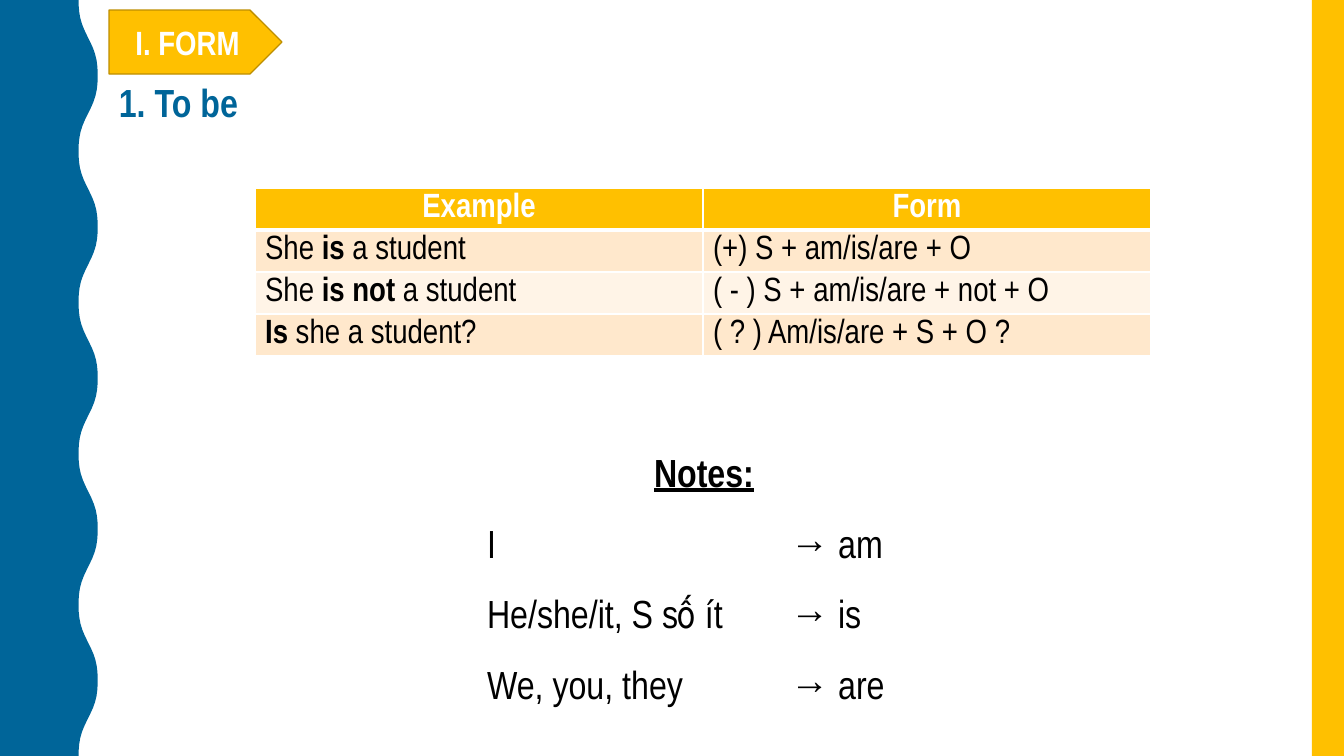
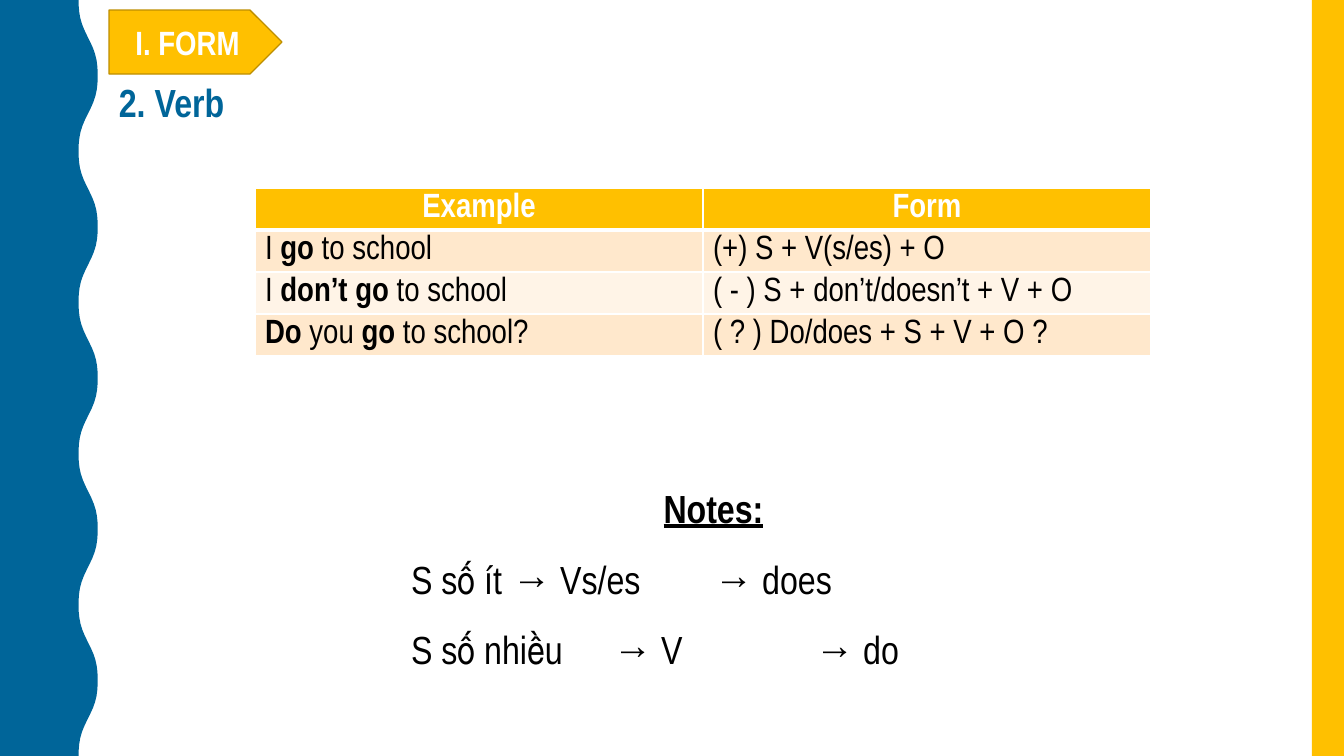
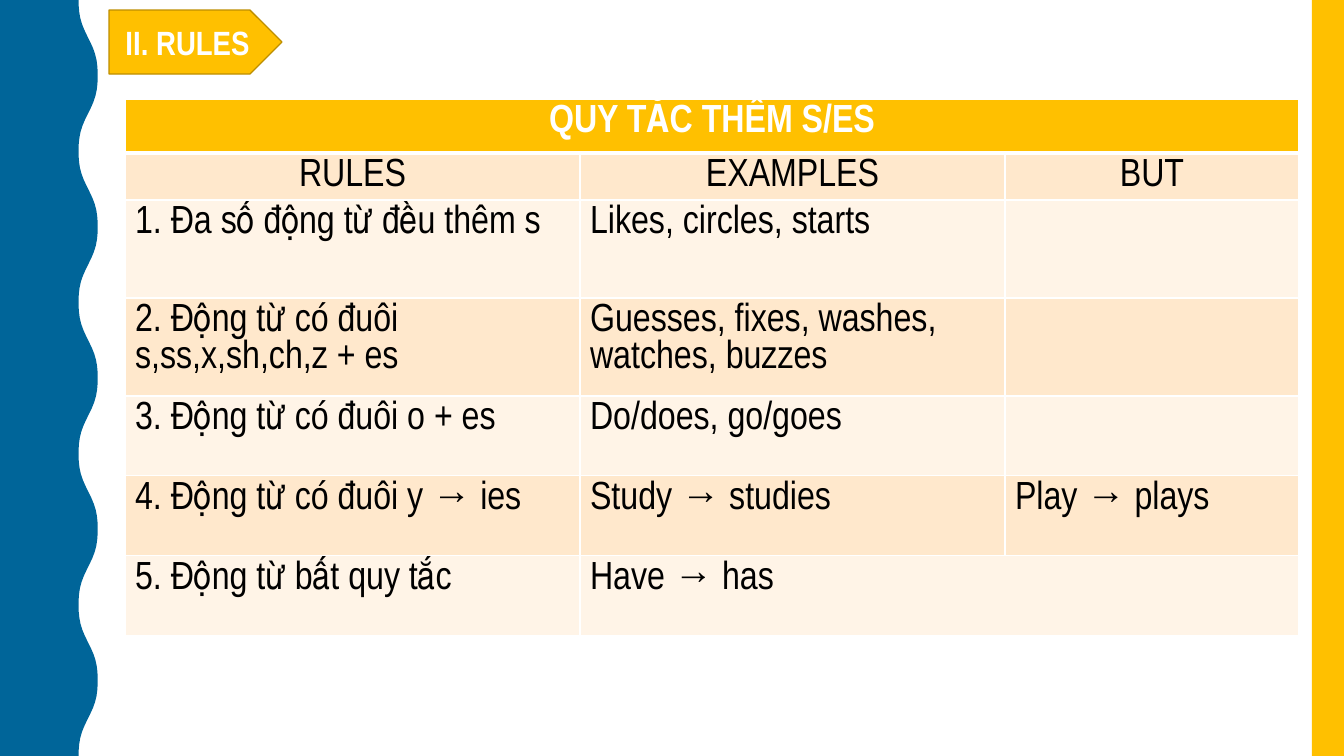
from math import cos, pi

from lxml.etree import SubElement
from pptx import Presentation
from pptx.dml.color import RGBColor
from pptx.enum.shapes import MSO_SHAPE as SHAPE
from pptx.enum.text import MSO_ANCHOR as ANCHOR, MSO_AUTO_SIZE as AUTOSIZE, PP_ALIGN as ALIGN
from pptx.oxml.ns import qn
from pptx.util import Pt

# Shared look
EMU_PER_PX = 914400 / 100.8
SLIDE_W, SLIDE_H = 1344, 756
FONT = "Arial Narrow"
BLUE = RGBColor(0x00, 0x65, 0x99)
GOLD = RGBColor(0xFF, 0xC0, 0x00)
DARK_GOLD = RGBColor(0xBD, 0x8E, 0x00)
PEACH = RGBColor(0xFF, 0xE8, 0xCC)
CREAM = RGBColor(0xFF, 0xF4, 0xE7)
WHITE = RGBColor(0xFF, 0xFF, 0xFF)
BLACK = RGBColor(0x00, 0x00, 0x00)
TITLE_ONLY, TITLE_AND_BODY = 5, 1
INCH_TAB = 101


def px(length):
    return round(length * EMU_PER_PX)


def box(left, top, width, height):
    return [px(length) for length in (left, top, width, height)]


def place(shape, *bounds):
    for side, length in zip(("left", "top", "width", "height"), box(*bounds)):
        setattr(shape, side, length)


def write(paragraph, text, size, color, bold=False, underline=False, **layout):
    """Write text whose parts between asterisks are bold."""
    for key, value in layout.items():
        setattr(paragraph, key, value)
    for index, part in enumerate(text.split("*")):
        if not part:
            continue
        run = paragraph.add_run()
        run.text = part
        style = {"name": FONT, "size": Pt(size), "underline": underline,
                 "bold": bold or index % 2 == 1}
        for key, value in style.items():
            setattr(run.font, key, value)
        run.font.color.rgb = color


def set_frame(frame, anchor):
    settings = {"word_wrap": True, "auto_size": AUTOSIZE.NONE, "vertical_anchor": anchor}
    for key, value in settings.items():
        setattr(frame, key, value)


# Bands and section tag on the master
def wave_x(y):
    """Edge of the wavy band: a cosine with a little third harmonic."""
    angle = 2 * pi * y / 151.2
    return 88.2 - 9.6 * (1.065 * cos(angle) - 0.065 * cos(3 * angle))


def add_decoration(master, slide):
    edge = [(px(wave_x(y)), px(y)) for y in range(0, SLIDE_H + 1, 6)]
    builder = slide.shapes.build_freeform(0, 0)
    builder.add_line_segments(edge + [(0, px(SLIDE_H))], close=True)
    wavy_band = builder.convert_to_shape()
    right_band = slide.shapes.add_shape(SHAPE.RECTANGLE, *box(1312, 0, 32, SLIDE_H))
    section_tag = slide.shapes.add_shape(SHAPE.PENTAGON, *box(109, 10, 173, 64))
    parts = [(wavy_band, BLUE), (right_band, GOLD), (section_tag, GOLD)]
    for position, (part, color) in enumerate(parts, 2):
        part.shadow.inherit = False
        part.fill.solid()
        part.fill.fore_color.rgb = color
        part.line.fill.background()
        master.shapes.element.insert(position, part.element)
    section_tag.line.color.rgb = DARK_GOLD
    section_tag.line.width = Pt(1)


# Headings
def set_section(slide, text):
    section = slide.shapes.title
    place(section, 109, 10, 157, 64)
    set_frame(section.text_frame, ANCHOR.MIDDLE)
    write(section.text_frame.paragraphs[0], text, 24, WHITE, bold=True, alignment=ALIGN.CENTER)


def add_subheading(slide, text):
    frame = slide.shapes.add_textbox(*box(109, 73, 254, 57)).text_frame
    set_frame(frame, ANCHOR.TOP)
    write(frame.paragraphs[0], text, 28, BLUE, bold=True)


# Notes list
def set_notes(slide, bounds, notes):
    """Each note is its text and the distance between its tab stops in inches."""
    body = slide.placeholders[1]
    place(body, *bounds)
    frame = body.text_frame
    set_frame(frame, ANCHOR.TOP)
    for index, (text, tab_gap) in enumerate([("Notes:", 1)] + notes):
        heading = index == 0
        paragraph = frame.paragraphs[0] if heading else frame.add_paragraph()
        write(paragraph, text, 28, BLACK, bold=heading, underline=heading,
              alignment=ALIGN.CENTER if heading else ALIGN.LEFT,
              line_spacing=1.5, space_before=Pt(0))
        properties = paragraph._p.get_or_add_pPr()
        for key, length in {"marL": 0, "indent": 0, "defTabSz": tab_gap * INCH_TAB}.items():
            properties.set(key, str(px(length)))
        SubElement(properties, qn("a:buNone"))


# Tables
def set_borders(cell, row):
    widths = {"lnL": 1, "lnR": 1, "lnT": 3 if row == 1 else 1, "lnB": 3 if row == 0 else 1}
    properties = cell._tc.get_or_add_tcPr()
    for side, width in widths.items():
        line = SubElement(properties, qn("a:" + side), w=str(Pt(width)))
        fill = SubElement(line, qn("a:solidFill"))
        SubElement(fill, qn("a:srgbClr"), val=str(WHITE))


def add_table(slide, left, top, widths, heights, rows, size, centred_rows=1, merges=()):
    bounds = box(left, top, sum(widths), sum(heights))
    table = slide.shapes.add_table(len(heights), len(widths), *bounds).table
    table.horz_banding = False
    for column, width in zip(table.columns, widths):
        column.width = px(width)
    for table_row, height in zip(table.rows, heights):
        table_row.height = px(height)
    for r, texts in enumerate(rows):
        for c in range(len(widths)):
            cell = table.cell(r, c)
            set_borders(cell, r)
            cell.fill.solid()
            cell.fill.fore_color.rgb = GOLD if r == 0 else (CREAM, PEACH)[r % 2]
            if c < len(texts):
                write(cell.text_frame.paragraphs[0], texts[c], size,
                      WHITE if r == 0 else BLACK, bold=r == 0,
                      alignment=ALIGN.CENTER if r < centred_rows else ALIGN.LEFT)
    for first, last in merges:
        table.cell(*first).merge(table.cell(*last))


FORMS = [
    ("1. To be",
     [("She *is* a student", "(+) S + am/is/are + O"),
      ("She *is not *a student", "( - ) S + am/is/are + not + O"),
      ("*Is* she a student?", "( ? ) Am/is/are + S + O ?")],
     (477, 420, 454, 286),
     [("I\t→ am", 3),
      ("He/she/it, S số ít\t→ is", 3),
      ("We, you, they\t→ are", 3)]),
    ("2. Verb",
     [("I *go* to school", "(+) S + V(s/es) + O"),
      ("I *don’t go *to school", "( - ) S + don’t/doesn’t + V + O"),
      ("*Do *you *go *to school?", "( ? ) Do/does + S + V + O ?")],
     (401, 456, 625, 215),
     [("S số ít\t→ Vs/es\t→ does", 1),
      ("S số nhiều\t→ V\t→ do", 2)]),
]

RULES = [
    ("QUY TẮC THÊM S/ES",),
    ("RULES", "EXAMPLES", "BUT"),
    ("1. Đa số động từ đều thêm s", "Likes, circles, starts"),
    ("2. Động từ có đuôi s,ss,x,sh,ch,z + es", "Guesses, fixes, washes, watches, buzzes"),
    ("3. Động từ có đuôi o + es", "Do/does, go/goes"),
    ("4. Động từ có đuôi y → ies", "Study → studies", "Play → plays"),
    ("5. Động từ bất quy tắc", "Have → has"),
]


def main():
    prs = Presentation()
    prs.slide_width, prs.slide_height = px(SLIDE_W), px(SLIDE_H)

    # Form slides
    for subheading, examples, notes_bounds, notes in FORMS:
        slide = prs.slides.add_slide(prs.slide_layouts[TITLE_AND_BODY])
        set_section(slide, "I. FORM")
        add_subheading(slide, subheading)
        add_table(slide, 255, 188, [448] * 2, [42] * 4, [("Example", "Form")] + examples, 24)
        set_notes(slide, notes_bounds, notes)

    # Rules slide
    slide = prs.slides.add_slide(prs.slide_layouts[TITLE_ONLY])
    set_section(slide, "II. RULES")
    add_table(slide, 125, 99, [455, 425, 294], [54, 47] + [98] * 2 + [80] * 3, RULES, 28,
              centred_rows=2, merges=[((0, 0), (0, 2)), ((6, 1), (6, 2))])

    add_decoration(prs.slide_master, slide)
    prs.save("out.pptx")


if __name__ == "__main__":
    main()
